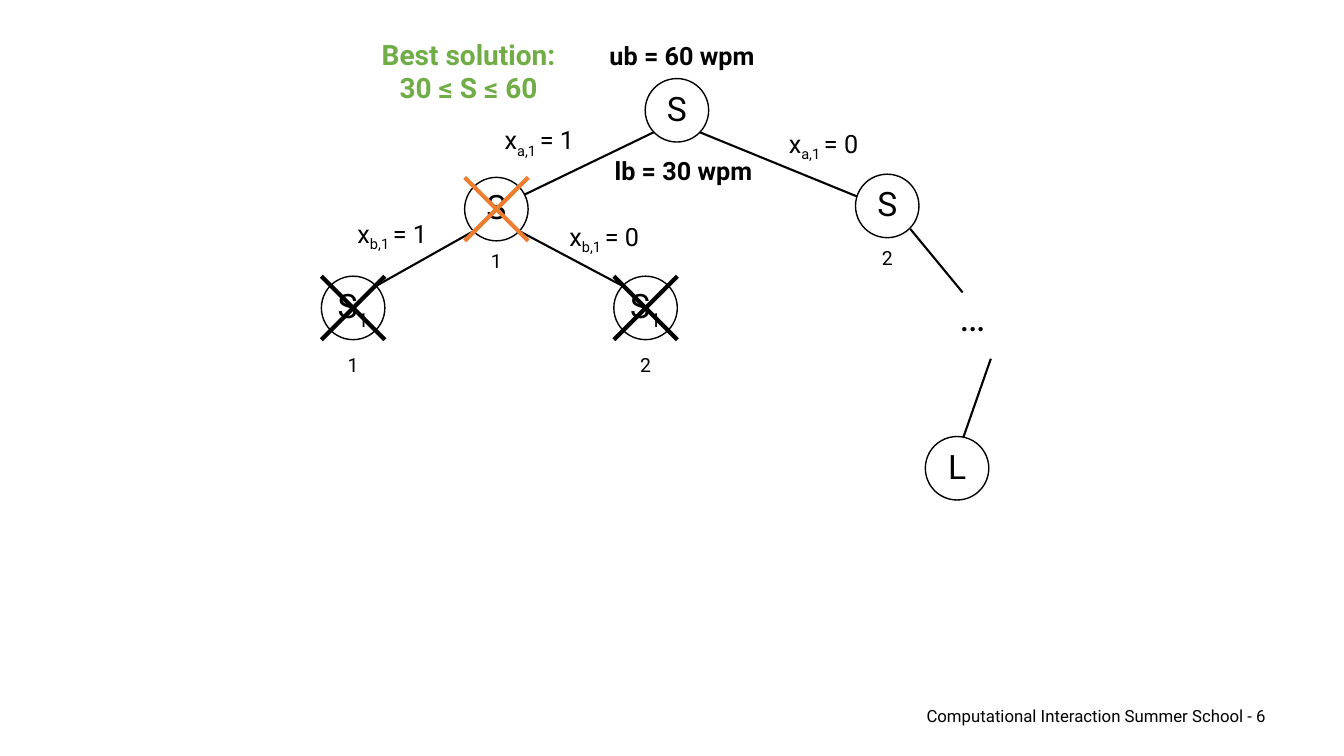
import pptx
import pptx.util
import pptx.dml.color
import pptx.enum.shapes
import pptx.enum.text
import pptx.oxml.ns
import lxml.etree

Cm, Pt = pptx.util.Cm, pptx.util.Pt
RGB = pptx.dml.color.RGBColor.from_string
ALIGN = pptx.enum.text.PP_ALIGN
COLORS = {"ink": "000000", "paper": "FFFFFF", "best": "70AD47", "pruned": "ED7D31"}

deck = pptx.Presentation()
deck.slide_width, deck.slide_height = Cm(33.87), Cm(19.05)
slide = deck.slides.add_slide(deck.slide_layouts[6])
shapes = slide.shapes


def write(lines, left, top, width, height, size, color="ink", bold=False, align=ALIGN.LEFT):
    """Each line is a list of runs; every second run is a subscript."""
    box = shapes.add_textbox(Cm(left), Cm(top), Cm(width), Cm(height))
    frame = box.text_frame
    frame.word_wrap = True
    for i, runs in enumerate(lines):
        para = frame.paragraphs[0] if i == 0 else frame.add_paragraph()
        para.alignment = align
        para.font.name, para.font.size, para.font.bold = "Roboto", Pt(size), bold
        para.font.color.rgb = RGB(COLORS[color])
        for j, text in enumerate(runs):
            run = para.add_run()
            run.text = text
            if j % 2:
                run._r.get_or_add_rPr().set("baseline", "-25000")
    return box


def draw(x1, y1, x2, y2, weight, color="ink"):
    line = shapes.add_connector(pptx.enum.shapes.MSO_CONNECTOR.STRAIGHT,
                                Cm(x1), Cm(y1), Cm(x2), Cm(y2))
    line.line.width = Pt(weight)
    line.line.color.rgb = RGB(COLORS[color])
    lxml.etree.SubElement(line._element.spPr, pptx.oxml.ns.qn("a:effectLst"))


# Footer
footer = write([["Computational Interaction Summer School - 6"]],
               15.6, 17.53, 16.56, 1.02, 12, align=ALIGN.RIGHT)
footer.text_frame.vertical_anchor = pptx.enum.text.MSO_ANCHOR.MIDDLE

# Tree edges
edges = [
    (16.48, 3.33, 13.06, 4.98), (17.63, 3.33, 21.67, 4.98),
    (11.94, 5.82, 9.47, 7.21), (13.08, 5.82, 15.7, 7.21),
    (22.94, 5.77, 24.26, 7.37), (24.97, 9.04, 24.26, 11.07),
]
for edge in edges:
    draw(*edge, 1.5)

# Tree nodes: centre, letter, subscript, label width, cross colour
RADIUS = 0.8
nodes = [
    (17.06, 2.78, "S", "", 1.2, None),
    (12.51, 5.27, "S", "1", 1.2, "pruned"),
    (22.36, 5.19, "S", "2", 1.2, None),
    (8.9, 7.76, "S", "11", 1.47, "ink"),
    (16.27, 7.76, "S", "12", 1.47, "ink"),
    (24.12, 11.8, "L", "", 1.2, None),
]
for x, y, name, sub, width, cross in nodes:
    left, top, right, low = x - RADIUS, y - RADIUS, x + RADIUS, y + RADIUS
    node = shapes.add_shape(pptx.enum.shapes.MSO_SHAPE.OVAL,
                            Cm(left), Cm(top), Cm(2 * RADIUS), Cm(2 * RADIUS))
    node.shadow.inherit = False
    node.fill.solid()
    node.fill.fore_color.rgb = RGB(COLORS["paper"])
    node.line.color.rgb = RGB(COLORS["ink"])
    node.line.width = Pt(1)
    # A subscript that does not fit the narrow label drops below the node
    runs = [name, sub] if sub else [name]
    write([runs], x - width / 2, y - 0.7, width, 1.27, 24, align=ALIGN.CENTER)
    if cross:
        draw(left, top, right, low, 3, cross)
        draw(right, top, left, low, 3, cross)

# Branch labels
branches = [
    ("a", 1, 12.47, 3.02), ("a", 0, 19.63, 3.1),
    ("b", 1, 8.76, 5.38), ("b", 0, 14.1, 5.44),
]
for key, value, left, top in branches:
    write([["x", f"{key},1 ", f"= {value}"]], left, top, 3.28, 1.02, 18)
write([["…"]], 23.93, 7.24, 3.4, 1.45, 28)

# Bounds and best solution
write([["ub = 60 wpm"]], 15.11, 0.89, 4.52, 1.02, 18, bold=True)
write([["lb = 30 wpm"]], 15.24, 3.78, 4.52, 1.02, 18, bold=True)
write([["Best solution:"], ["30 ≤ S ≤ 60"]], 9.09, 0.81, 5.44, 1.96, 20,
      "best", True, ALIGN.CENTER)

deck.save("out.pptx")
